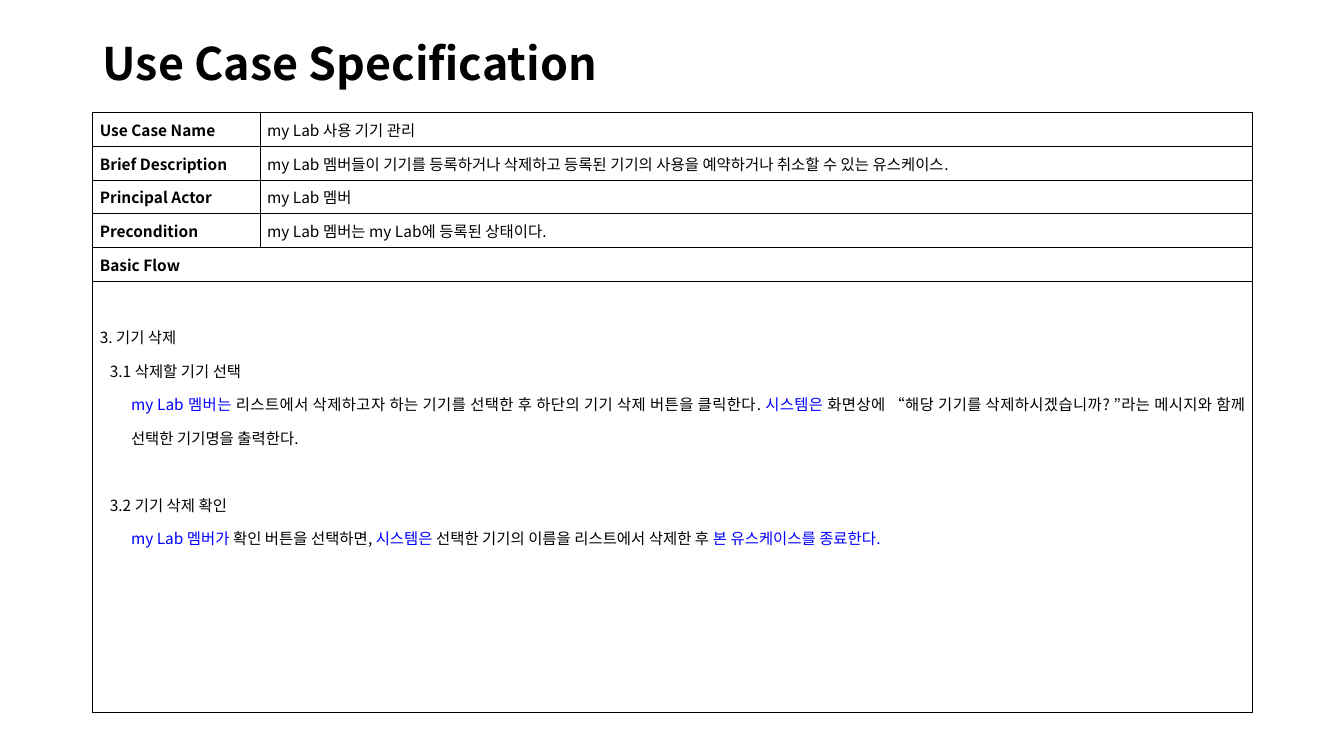
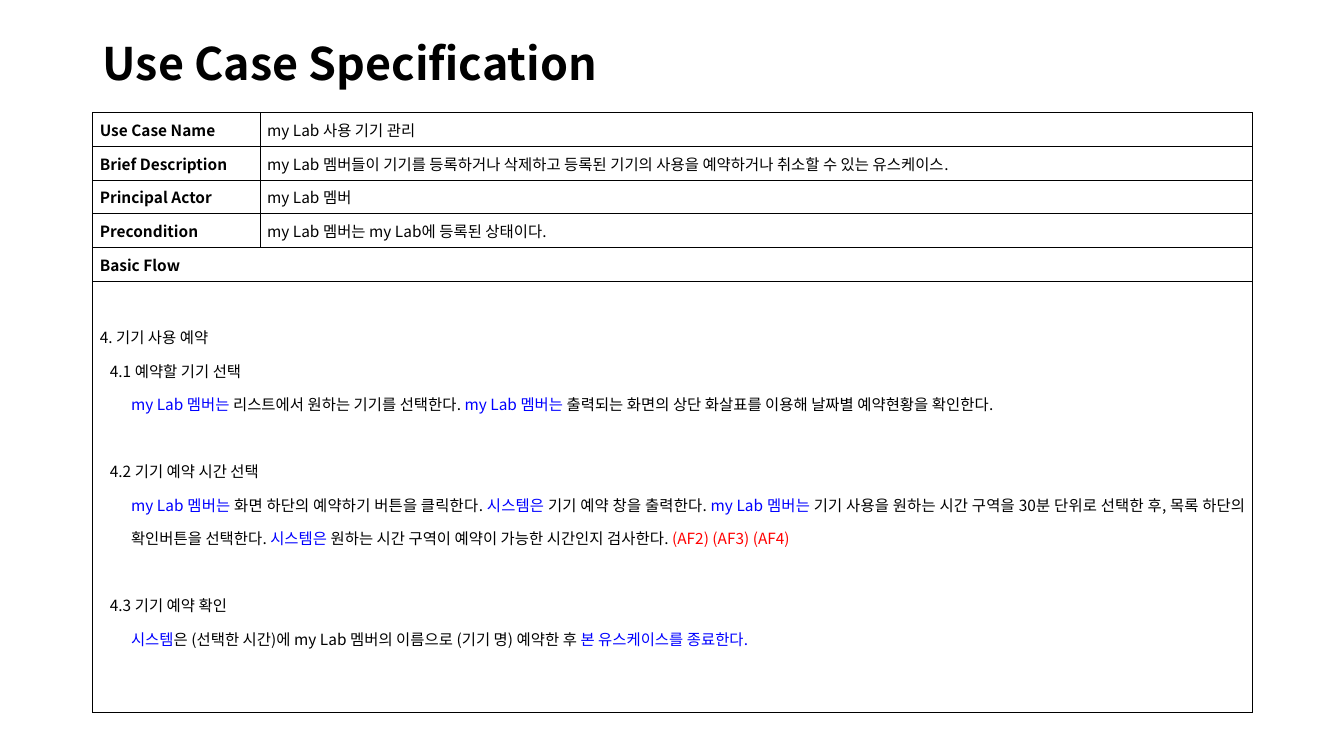
"""Build two use case specification slides, each with a title and a table."""
from lxml import etree
from pptx import Presentation
from pptx.dml.color import RGBColor
from pptx.enum.text import MSO_ANCHOR, PP_ALIGN
from pptx.oxml.ns import qn
from pptx.util import Inches, Pt

MIDDLE, TOP = MSO_ANCHOR.MIDDLE, MSO_ANCHOR.TOP
JUSTIFY = PP_ALIGN.JUSTIFY

COLORS = {"text": "000000", "subject": "0000FF", "alternative": "FF0000"}
FONT = "Noto Sans CJK KR"
TITLE_SIZE, BODY_SIZE = 32, 11
LEFT, WIDTH = 0.92, 11.5
TABLE_TOP, TABLE_HEIGHT = 1.12, 5.95
LABEL_WIDTH, FLOW_HEIGHT = 1.66, 4.28
CELL_PAD = 0.07
FLOW_TOP_PAD = 0.33
STEP_INDENT, DETAIL_INDENT = 0.1, 0.31
FLOW_SPACING, STEP_GAP = 1.5, 24

TITLE = "Use Case Specification"
SUMMARY = [
    ("Use Case Name", "my Lab 사용 기기 관리"),
    ("Brief Description",
     "my Lab 멤버들이 기기를 등록하거나 삭제하고 등록된 기기의 사용을 예약하거나 취소할 수 있는 유스케이스."),
    ("Principal Actor", "my Lab 멤버"),
    ("Precondition", "my Lab 멤버는 my Lab에 등록된 상태이다."),
]
FLOW_LABEL = "Basic Flow"
FLOWS = [
    ("3. 기기 삭제", [
        ("3.1 삭제할 기기 선택", [
            ("my Lab 멤버는 ", "subject"),
            ("리스트에서 삭제하고자 하는 기기를 선택한 후 하단의 기기 삭제 버튼을 클릭한다. ", "text"),
            ("시스템은 ", "subject"),
            ("화면상에 “해당 기기를 삭제하시겠습니까? ”라는 메시지와 함께 선택한 기기명을 출력한다.", "text"),
        ]),
        ("3.2 기기 삭제 확인", [
            ("my Lab 멤버가 ", "subject"),
            ("확인 버튼을 선택하면, ", "text"),
            ("시스템은", "subject"),
            (" 선택한 기기의 이름을 리스트에서 삭제한 후 ", "text"),
            ("본 유스케이스를 종료한다.", "subject"),
        ]),
    ]),
    ("4. 기기 사용 예약", [
        ("4.1 예약할 기기 선택", [
            ("my Lab 멤버는 ", "subject"),
            ("리스트에서 원하는 기기를 선택한다. ", "text"),
            ("my Lab 멤버는 ", "subject"),
            ("출력되는 화면의 상단 화살표를 이용해 날짜별 예약현황을 확인한다.", "text"),
        ]),
        ("4.2 기기 예약 시간 선택", [
            ("my Lab 멤버는", "subject"),
            (" 화면 하단의 예약하기 버튼을 클릭한다. ", "text"),
            ("시스템은 ", "subject"),
            ("기기 예약 창을 출력한다. ", "text"),
            ("my Lab 멤버는 ", "subject"),
            ("기기 사용을 원하는 시간 구역을 30분 단위로 선택한 후, 목록 하단의 확인버튼을 선택한다. ", "text"),
            ("시스템은", "subject"),
            (" 원하는 시간 구역이 예약이 가능한 시간인지 검사한다. ", "text"),
            ("(AF2) (AF3) (AF4)", "alternative"),
        ]),
        ("4.3 기기 예약 확인", [
            ("시스템", "subject"),
            ("은 (선택한 시간)에 my Lab 멤버의 이름으로 (기기 명) 예약한 후 ", "text"),
            ("본 유스케이스를 종료한다.", "subject"),
        ]),
    ]),
]


def add_run(paragraph, text, color="text", size=BODY_SIZE, bold=False):
    """Add one run in the shared font for Latin and Korean letters."""
    run = paragraph.add_run()
    run.text = text
    run.font.size = Pt(size)
    run.font.bold = bold
    run.font.color.rgb = RGBColor.from_string(COLORS[color])
    run.font.name = FONT
    etree.SubElement(run.font._element, qn("a:ea"), typeface=FONT)


def add_title(slide):
    """Add the slide title."""
    title = slide.shapes.add_textbox(
        Inches(LEFT), Inches(0.4), Inches(WIDTH), Inches(0.5))
    frame = title.text_frame
    frame.word_wrap = True
    frame.vertical_anchor = MIDDLE
    heading = frame.paragraphs[0]
    heading.line_spacing = 0.9
    add_run(heading, TITLE, size=TITLE_SIZE, bold=True)


def style_cell(cell):
    """Give a cell thin black borders, no fill and narrow margins."""
    properties = cell._tc.get_or_add_tcPr()
    for side in ("a:lnL", "a:lnR", "a:lnT", "a:lnB"):
        border = etree.SubElement(properties, qn(side), w=str(Pt(1)))
        fill = etree.SubElement(border, qn("a:solidFill"))
        etree.SubElement(fill, qn("a:srgbClr"), val=COLORS["text"])
    cell.fill.background()
    cell.vertical_anchor = MIDDLE
    cell.margin_left = cell.margin_right = Inches(CELL_PAD)
    cell.margin_top = cell.margin_bottom = 0


def fill_cell(cell, text, bold=False):
    """Write one justified line in a cell."""
    line = cell.text_frame.paragraphs[0]
    line.alignment = JUSTIFY
    add_run(line, text, bold=bold)


def add_flow_line(frame, runs, indent, gap=0):
    """Add an indented paragraph of coloured runs to the flow."""
    line = frame.add_paragraph()
    line.alignment = JUSTIFY
    line.line_spacing = FLOW_SPACING
    line.space_before = Pt(gap)
    line._p.get_or_add_pPr().set("marL", str(Inches(indent)))
    for text, color in runs:
        add_run(line, text, color)


def fill_flow(cell, heading, steps):
    """Write the heading and the numbered steps of a flow."""
    cell.vertical_anchor = TOP
    cell.margin_top = Inches(FLOW_TOP_PAD)
    fill_cell(cell, heading)
    frame = cell.text_frame
    frame.paragraphs[0].line_spacing = FLOW_SPACING
    for index, (step, details) in enumerate(steps):
        add_flow_line(frame, [(step, "text")], STEP_INDENT,
                      STEP_GAP if index else 0)
        add_flow_line(frame, details, DETAIL_INDENT)


def add_use_case_table(slide, heading, steps):
    """Add the table with the summary rows and one basic flow."""
    label_row = len(SUMMARY)
    flow_row = label_row + 1
    table = slide.shapes.add_table(
        flow_row + 1, 2, Inches(LEFT), Inches(TABLE_TOP),
        Inches(WIDTH), Inches(TABLE_HEIGHT)).table
    table.first_row = table.horz_banding = False
    table.columns[0].width = Inches(LABEL_WIDTH)
    table.columns[1].width = Inches(WIDTH - LABEL_WIDTH)
    for row in table.rows:
        row.height = Inches((TABLE_HEIGHT - FLOW_HEIGHT) / flow_row)
    table.rows[flow_row].height = Inches(FLOW_HEIGHT)
    for cell in table.iter_cells():
        style_cell(cell)
    for row in (label_row, flow_row):
        table.cell(row, 0).merge(table.cell(row, 1))
    for row, (label, value) in enumerate(SUMMARY):
        fill_cell(table.cell(row, 0), label, bold=True)
        fill_cell(table.cell(row, 1), value)
    fill_cell(table.cell(label_row, 0), FLOW_LABEL, bold=True)
    fill_flow(table.cell(flow_row, 0), heading, steps)


def main():
    """Build and save the presentation."""
    deck = Presentation()
    deck.slide_width, deck.slide_height = Inches(13.33), Inches(7.5)
    for heading, steps in FLOWS:
        slide = deck.slides.add_slide(deck.slide_layouts[6])
        add_title(slide)
        add_use_case_table(slide, heading, steps)
    deck.save("out.pptx")


if __name__ == "__main__":
    main()
